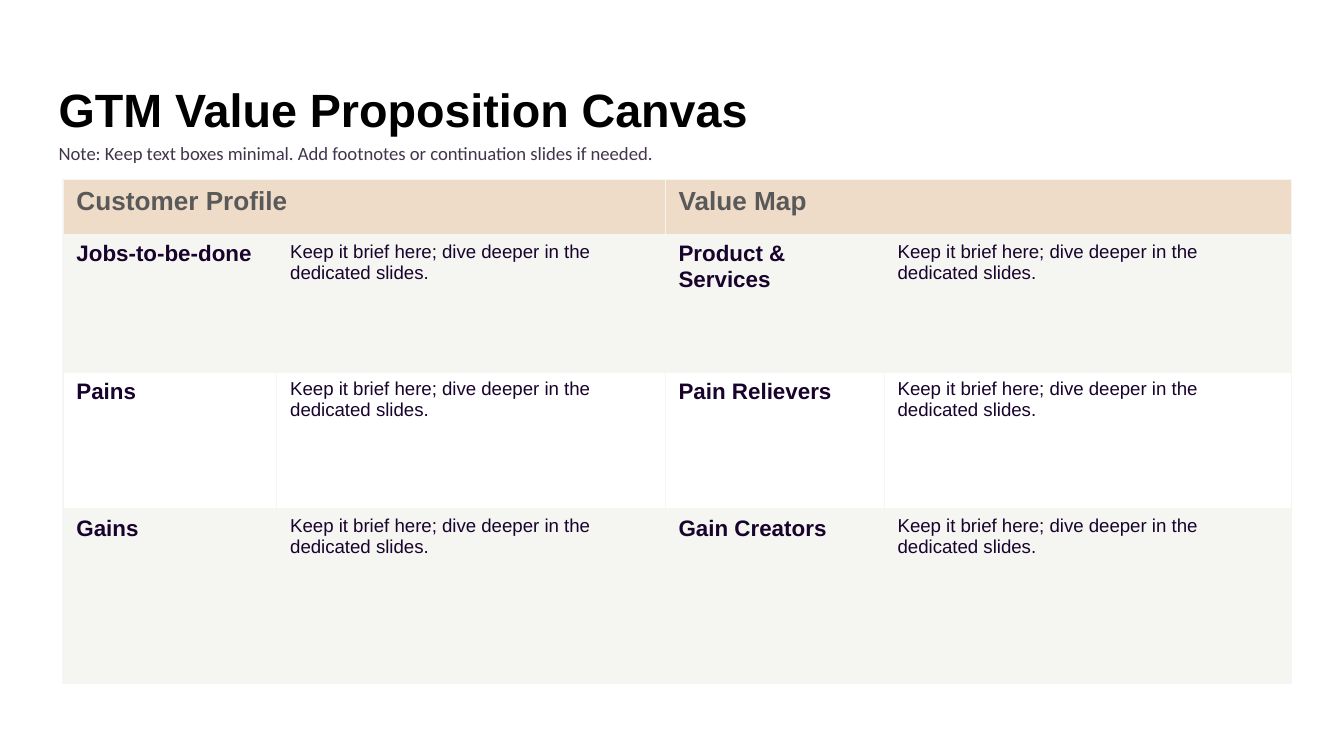
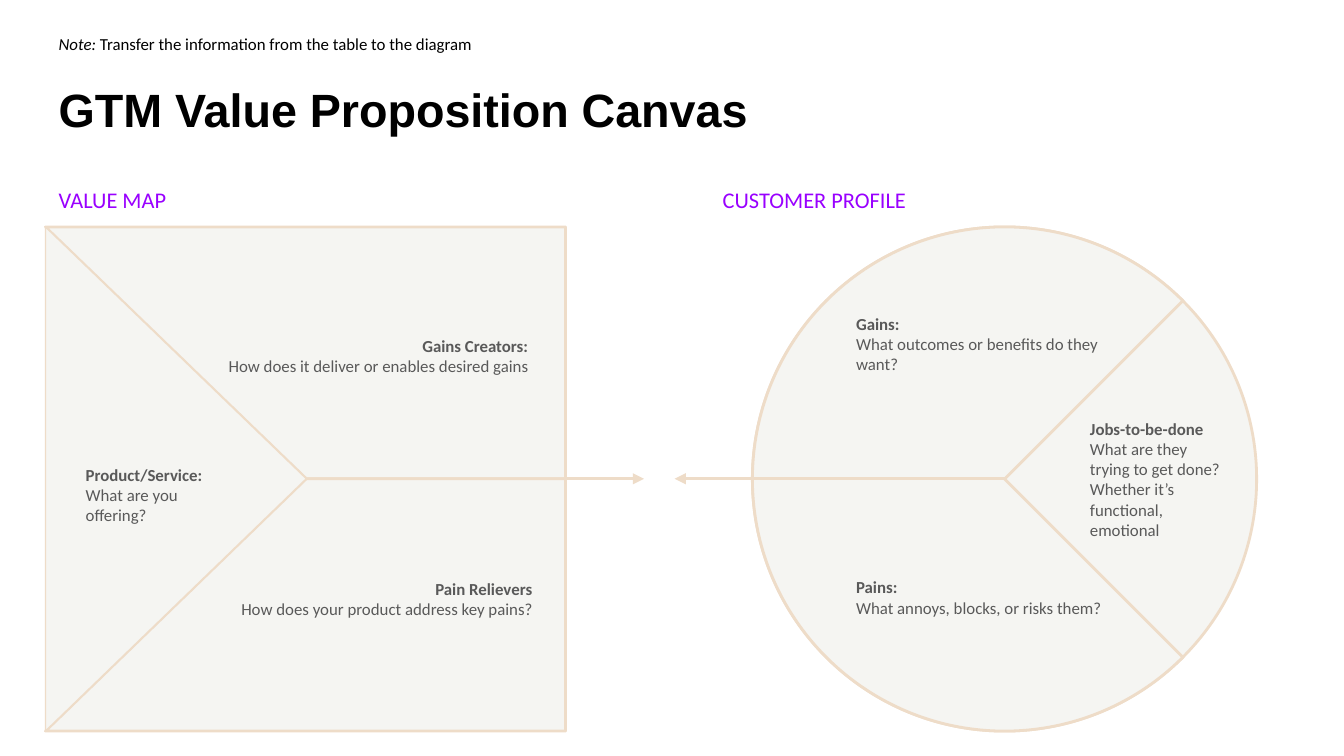
import dataclasses
import typing

import lxml.etree
import pptx
import pptx.dml.color
import pptx.enum.shapes
import pptx.enum.text
import pptx.oxml.ns
import pptx.util

Cm = pptx.util.Cm
Pt = pptx.util.Pt
qn = pptx.oxml.ns.qn
ALIGN = pptx.enum.text.PP_ALIGN
ANCHOR = pptx.enum.text.MSO_ANCHOR
SHAPE = pptx.enum.shapes.MSO_SHAPE

COLOURS = {
    "black": "000000",
    "white": "FFFFFF",
    "sand": "EEDCC8",
    "mist": "F5F5F2",
    "grey": "595959",
    "ink": "18032C",
    "plum": "41354B",
    "violet": "9900FF",
}
TITLE = "GTM Value Proposition Canvas"
HINT = "Keep it brief here; dive deeper in the dedicated slides."
LEFT = 0.86
INSET = 0.25
SQUARE_RIGHT, TOP, BOTTOM = 10.69, 4.29, 13.82
APEX_X, MIDDLE = 5.79, 9.05
CIRCLE_LEFT, DIAMETER = 14.22, BOTTOM - TOP


@dataclasses.dataclass(frozen=True)
class Style:
    size: float
    colour: str
    name: str = "Calibri"
    bold: bool = False
    italic: bool = False


@dataclasses.dataclass(frozen=True)
class Area:
    left: float
    top: float
    width: float
    height: float

    def lengths(self) -> list[int]:
        return [Cm(value) for value in dataclasses.astuple(self)]


@dataclasses.dataclass(frozen=True)
class Label:
    heading: str
    question: str
    area: Area
    align: ALIGN = ALIGN.LEFT


@dataclasses.dataclass(frozen=True)
class Region:
    points: tuple[tuple[float, float], ...]
    line_width: float = 1.5


@dataclasses.dataclass(frozen=True)
class Line:
    start: float
    end: float
    arrow: bool = False


TITLE_STYLE = Style(25, "black", "Arial", bold=True)
NOTE_STYLE = Style(10, "plum")
SECTION_STYLE = Style(12, "violet")
HEADER_STYLE = Style(14, "grey", "Arial", bold=True)
TOPIC_STYLE = Style(12, "ink", "Arial", bold=True)
HINT_STYLE = Style(10, "ink", "Arial")
HEADING_STYLE = Style(9, "grey", bold=True)
QUESTION_STYLE = Style(9, "grey")
TRANSFER_STYLE = Style(9, "black")
TRANSFER_LEAD_STYLE = dataclasses.replace(TRANSFER_STYLE, italic=True)

COLUMN_WIDTHS = (4.04, 7.34, 4.14, 7.7)
ROW_HEIGHTS = (1.04, 2.59, 2.59, 3.3)
TABLE_HEADERS = ("Customer Profile", "Value Map")
TABLE_TOPICS = (
    ("Jobs-to-be-done", "Product & Services"),
    ("Pains", "Pain Relievers"),
    ("Gains", "Gain Creators"),
)
SECTIONS = (("VALUE MAP", LEFT), ("CUSTOMER PROFILE", 13.41))
REGIONS = (
    Region(((LEFT, TOP), (SQUARE_RIGHT, TOP), (SQUARE_RIGHT, MIDDLE), (APEX_X, MIDDLE))),
    Region(((LEFT, BOTTOM), (SQUARE_RIGHT, BOTTOM), (SQUARE_RIGHT, MIDDLE), (APEX_X, MIDDLE))),
    Region(((LEFT, TOP), (LEFT, BOTTOM), (APEX_X, MIDDLE)), 0.75),
)
LINES = (
    Line(CIRCLE_LEFT + DIAMETER / 2, CIRCLE_LEFT),
    Line(SQUARE_RIGHT, 12.17, arrow=True),
    Line(CIRCLE_LEFT, 12.75, arrow=True),
)
LABELS = (
    Label("Product/Service:", "What are you offering?", Area(1.37, 7.16, 2.97, 4.39)),
    Label("Gains Creators:", "How does it deliver or enables desired gains",
          Area(4.06, 4.75, 6.17, 3.94), ALIGN.RIGHT),
    Label("Pain Relievers", "How does your product address key pains?",
          Area(4.14, 9.12, 6.17, 4.39), ALIGN.RIGHT),
    Label("Gains:", "What outcomes or benefits do they want?", Area(15.93, 5.11, 5.18, 2.77)),
    Label("Pains:", "What annoys, blocks, or risks them?", Area(15.93, 9.98, 5.18, 2.62)),
    Label("Jobs-to-be-done",
          "What are they trying to get done? Whether it’s functional, emotional",
          Area(20.35, 6.86, 2.97, 4.39)),
)


def set_values(target: typing.Any, values: dict[str, typing.Any]) -> None:
    for name, value in values.items():
        setattr(target, name, value)


def colour(name: str) -> pptx.dml.color.RGBColor:
    return pptx.dml.color.RGBColor.from_string(COLOURS[name])


def add_span(para: typing.Any, text: str, style: Style) -> None:
    span = para.add_run()
    span.text = text
    set_values(span.font, {
        "size": Pt(style.size), "name": style.name,
        "bold": style.bold, "italic": style.italic,
    })
    span.font.color.rgb = colour(style.colour)


def set_frame(frame: typing.Any, anchor: ANCHOR) -> None:
    set_values(frame, {
        "word_wrap": True,
        "auto_size": pptx.enum.text.MSO_AUTO_SIZE.NONE,
        "vertical_anchor": anchor,
        "margin_left": Cm(INSET), "margin_right": Cm(INSET),
        "margin_top": Cm(INSET), "margin_bottom": Cm(INSET),
    })


def add_page(deck: typing.Any) -> typing.Any:
    page = deck.slides.add_slide(deck.slide_layouts.get_by_name("Title Only"))
    title = page.shapes.title
    sides = ("left", "top", "width", "height")
    set_values(title, dict(zip(sides, Area(LEFT, 1.24, 21.82, 1.6).lengths())))
    set_frame(title.text_frame, ANCHOR.BOTTOM)
    para = title.text_frame.paragraphs[0]
    para.alignment = ALIGN.LEFT
    add_span(para, TITLE, TITLE_STYLE)
    return page


def add_text(page: typing.Any, area: Area, spans: list[tuple[str, Style]],
             spacing: dict[str, typing.Any]) -> None:
    box = page.shapes.add_textbox(*area.lengths())
    set_frame(box.text_frame, ANCHOR.TOP)
    para = box.text_frame.paragraphs[0]
    set_values(para, {"line_spacing": 1.15, **spacing})
    for text, style in spans:
        add_span(para, text, style)


def add_label(page: typing.Any, label: Label) -> None:
    box = page.shapes.add_textbox(*label.area.lengths())
    frame = box.text_frame
    set_frame(frame, ANCHOR.MIDDLE)
    add_span(frame.paragraphs[0], label.heading, HEADING_STYLE)
    add_span(frame.add_paragraph(), label.question, QUESTION_STYLE)
    for para in frame.paragraphs:
        para.alignment = label.align


def paint(shape: typing.Any, line_width: float) -> None:
    shape.shadow.inherit = False
    shape.fill.solid()
    shape.fill.fore_color.rgb = colour("mist")
    shape.line.color.rgb = colour("sand")
    shape.line.width = Pt(line_width)


def add_region(page: typing.Any, region: Region) -> None:
    start, *rest = [(Cm(x), Cm(y)) for x, y in region.points]
    builder = page.shapes.build_freeform(*start)
    builder.add_line_segments(rest, close=True)
    paint(builder.convert_to_shape(), region.line_width)


def add_line(page: typing.Any, line: Line) -> None:
    connector = page.shapes.add_connector(
        pptx.enum.shapes.MSO_CONNECTOR.STRAIGHT,
        Cm(line.start), Cm(MIDDLE), Cm(line.end), Cm(MIDDLE))
    connector.line.color.rgb = colour("sand")
    connector.line.width = Pt(1.5)
    properties = connector.element.spPr
    if line.arrow:
        lxml.etree.SubElement(properties.find(qn("a:ln")), qn("a:tailEnd"), type="triangle")
    lxml.etree.SubElement(properties, qn("a:effectLst"))


def format_cell(cell: typing.Any, fill: str) -> None:
    properties = cell._tc.get_or_add_tcPr()
    for side in ("lnL", "lnR", "lnT", "lnB"):
        border = lxml.etree.SubElement(properties, qn(f"a:{side}"), w=str(Pt(0.75)))
        solid = lxml.etree.SubElement(border, qn("a:solidFill"))
        lxml.etree.SubElement(solid, qn("a:srgbClr"), val=COLOURS["mist"])
    cell.fill.solid()
    cell.fill.fore_color.rgb = colour(fill)


def add_canvas_table(page: typing.Any) -> None:
    area = Area(1.19, 3.4, sum(COLUMN_WIDTHS), sum(ROW_HEIGHTS))
    table = page.shapes.add_table(
        len(ROW_HEIGHTS), len(COLUMN_WIDTHS), *area.lengths()).table
    for column, width in zip(table.columns, COLUMN_WIDTHS):
        column.width = Cm(width)
    for row, height, fill in zip(table.rows, ROW_HEIGHTS, ("sand", "mist", "white", "mist")):
        row.height = Cm(height)
        for cell in row.cells:
            format_cell(cell, fill)
    for index, header in enumerate(TABLE_HEADERS):
        cell = table.cell(0, 2 * index)
        cell.merge(table.cell(0, 2 * index + 1))
        add_span(cell.text_frame.paragraphs[0], header, HEADER_STYLE)
    for row_index, topics in enumerate(TABLE_TOPICS, start=1):
        for index, topic in enumerate(topics):
            for offset, text, style in ((0, topic, TOPIC_STYLE), (1, HINT, HINT_STYLE)):
                cell = table.cell(row_index, 2 * index + offset)
                add_span(cell.text_frame.paragraphs[0], text, style)


def build_table_page(deck: typing.Any) -> None:
    page = add_page(deck)
    note = "Note: Keep text boxes minimal. Add footnotes or continuation slides if needed."
    add_text(page, Area(LEFT, 2.36, 23.55, 0.94), [(note, NOTE_STYLE)], {})
    add_canvas_table(page)


def build_diagram_page(deck: typing.Any) -> None:
    page = add_page(deck)
    for text, left in SECTIONS:
        add_text(page, Area(left, 3.2, 11.1, 0.94), [(text, SECTION_STYLE)],
                 {"space_after": Pt(12)})
    for region in REGIONS:
        add_region(page, region)
    circle = Area(CIRCLE_LEFT, TOP, DIAMETER, DIAMETER)
    paint(page.shapes.add_shape(SHAPE.OVAL, *circle.lengths()), 1.5)
    pie = page.shapes.add_shape(SHAPE.PIE, *circle.lengths())
    pie.adjustments[0] = 0
    pie.adjustments[1] = 162
    pie.rotation = 45
    paint(pie, 1.5)
    for line in LINES:
        add_line(page, line)
    for label in LABELS:
        add_label(page, label)
    add_text(page, Area(LEFT, 0.33, 16.1, 0.89),
             [("Note:", TRANSFER_LEAD_STYLE),
              (" Transfer the information from the table to the diagram", TRANSFER_STYLE)],
             {"space_before": Pt(12), "space_after": Pt(12)})


def main() -> None:
    deck = pptx.Presentation()
    set_values(deck, {"slide_width": Cm(25.4), "slide_height": Cm(14.29)})
    build_table_page(deck)
    build_diagram_page(deck)
    deck.save("out.pptx")


if __name__ == "__main__":
    main()
